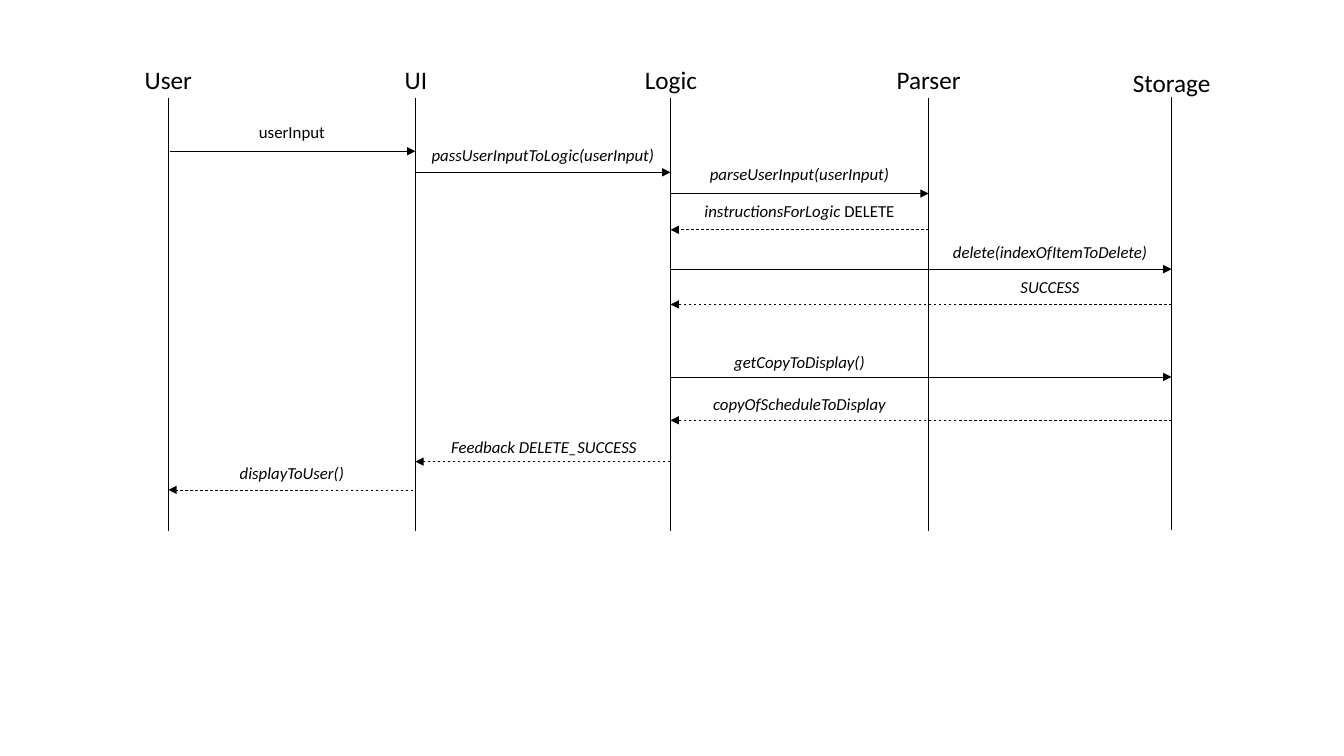
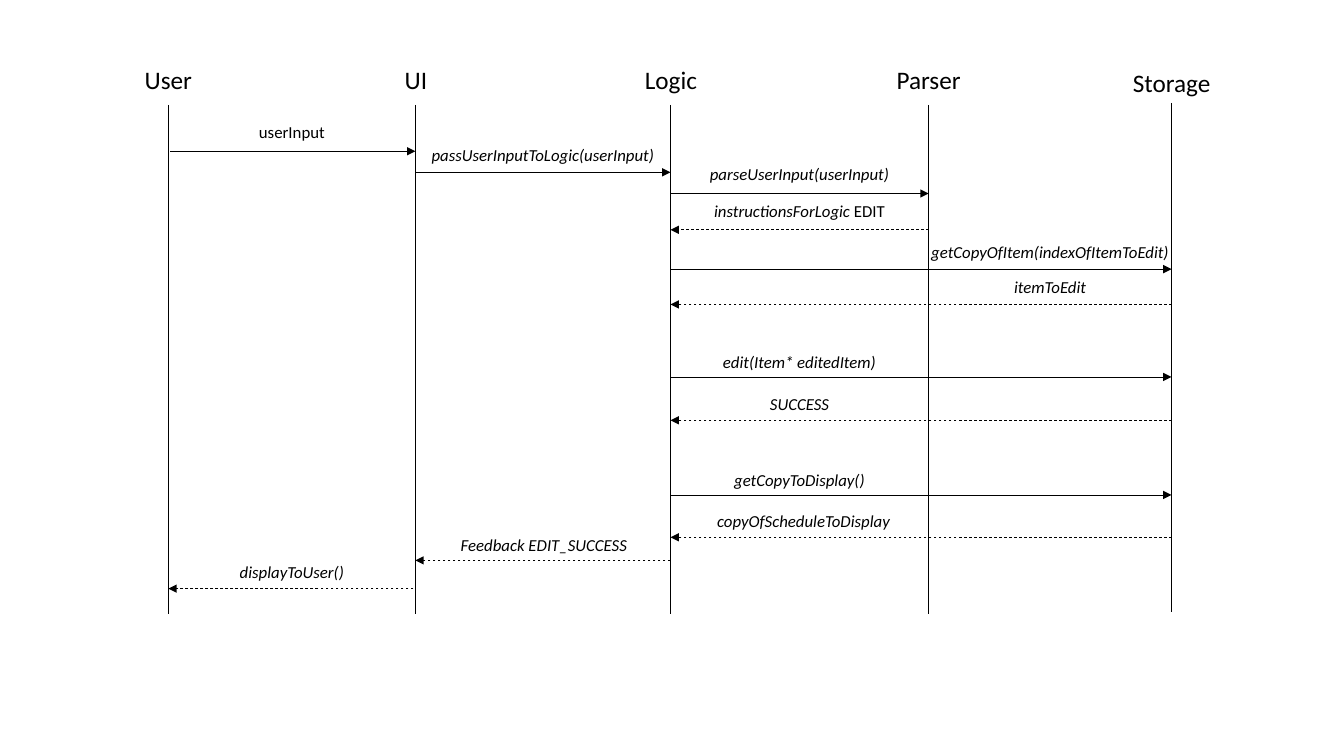
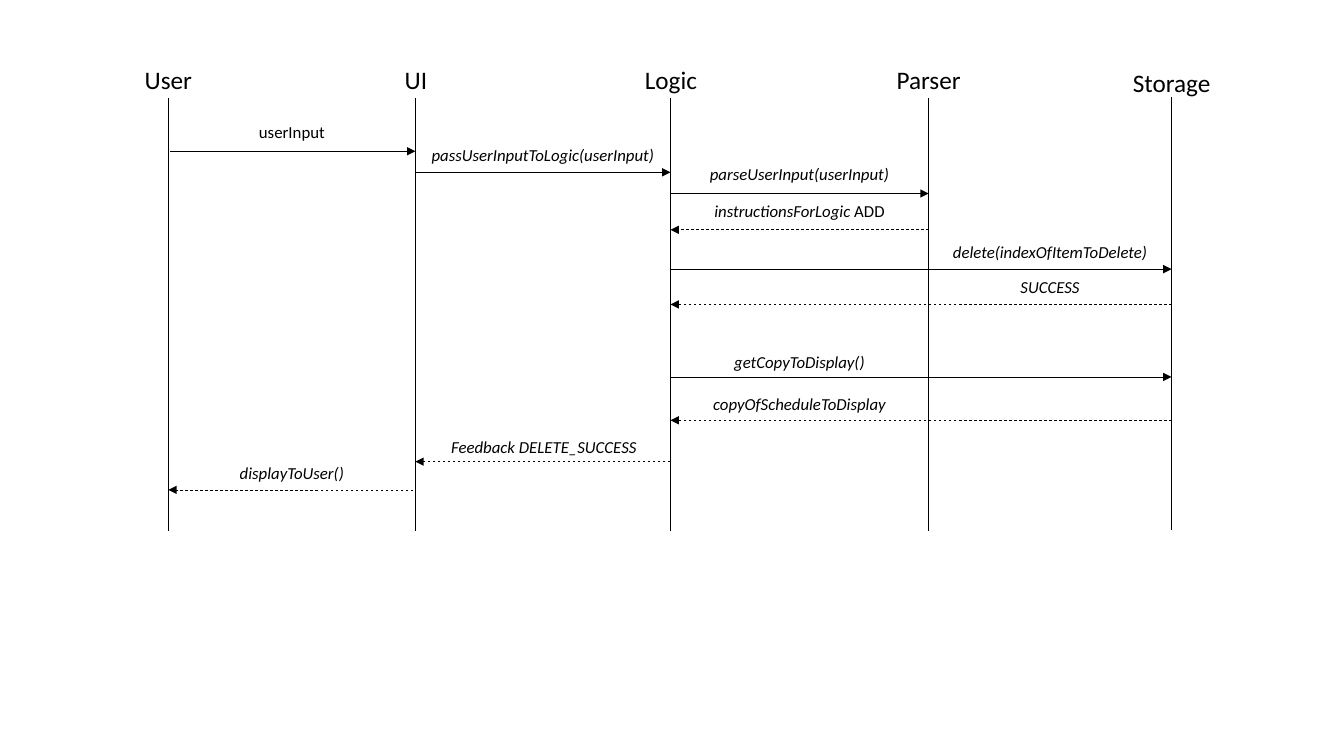
from dataclasses import dataclass

from lxml.etree import SubElement
from pptx import Presentation
from pptx.dml.color import RGBColor
from pptx.enum.dml import MSO_LINE
from pptx.enum.shapes import MSO_CONNECTOR
from pptx.enum.text import MSO_AUTO_SIZE, PP_ALIGN
from pptx.oxml.ns import qn
from pptx.util import Pt

PX = 9144


@dataclass(frozen=True)
class Theme:
    font: str = "Calibri"
    ink: RGBColor = RGBColor(0, 0, 0)
    title_size: int = 18
    label_size: int = 12
    line_width: float = 0.5


@dataclass(frozen=True)
class Message:
    sender: str
    receiver: str
    y: int
    label: str
    rise: int
    plain: str = ""
    loose: bool = False
    italic: bool = True
    over: tuple = ()
    nudge: int = 0
    widen: int = 0


THEME = Theme()
SLIDE_SIZE = (1333, 750)
TITLE_TOP = 59
STORAGE_DROP = 3

LIFELINES = {
    "User": (167, 68),
    "UI": (412, 43),
    "Logic": (665, 73),
    "Parser": (921, 84),
    "Storage": (1162, 98),
}

NEAR_LOGIC = ("Logic", "Parser")
NEAR_STORAGE = ("Parser", "Storage")


def opening(command):
    return [
        Message("User", "UI", 150, "userInput", 34, italic=False),
        Message("UI", "Logic", 171, "passUserInputToLogic(userInput)", 32),
        Message("Logic", "Parser", 192, "parseUserInput(userInput)", 34),
        Message("Parser", "Logic", 228, "instructionsForLogic ", 34, plain=command),
    ]


def storage_call(request, reply, widen=0):
    return [
        Message("Logic", "Storage", 267, request, 32, over=NEAR_STORAGE, widen=widen),
        Message("Storage", "Logic", 302, reply, 32, over=NEAR_STORAGE),
    ]


def loose_call(y, reply_y, request, reply, nudge=0):
    return [
        Message("Logic", "Storage", y, request, 40, loose=True, over=NEAR_LOGIC),
        Message("Storage", "Logic", reply_y, reply, 41, loose=True, over=NEAR_LOGIC, nudge=nudge),
    ]


def closing(y, outcome):
    return [
        Message("Logic", "UI", y, f"Feedback {outcome}", 40, loose=True, nudge=1),
        Message("UI", "User", y + 28, "displayToUser()", 42, loose=True),
    ]


def delete_flow(command):
    return (
        opening(command)
        + storage_call("delete(indexOfItemToDelete)", "SUCCESS")
        + loose_call(374, 417, "getCopyToDisplay()", "copyOfScheduleToDisplay")
        + closing(458, "DELETE_SUCCESS")
    )


EDIT_FLOW = (
    opening("EDIT")
    + storage_call("getCopyOfItem(indexOfItemToEdit)", "itemToEdit", widen=8)
    + loose_call(374, 417, "edit(Item* editedItem)", "SUCCESS")
    + loose_call(491, 533, "getCopyToDisplay()", "copyOfScheduleToDisplay", nudge=4)
    + closing(556, "EDIT_SUCCESS")
)

DIAGRAMS = [
    {"top": 97, "bottom": 527, "storage_lift": 1, "messages": delete_flow("DELETE")},
    {"top": 104, "bottom": 609, "storage_lift": 2, "messages": EDIT_FLOW},
    {"top": 97, "bottom": 527, "storage_lift": 1, "messages": delete_flow("ADD")},
]


def add_line(slide, start, end, arrow=False, dashed=False):
    line = slide.shapes.add_connector(MSO_CONNECTOR.STRAIGHT, *(v * PX for v in (*start, *end)))
    line.line.width = Pt(THEME.line_width)
    line.line.color.rgb = THEME.ink
    if dashed:
        line.line.dash_style = MSO_LINE.DASH
    properties = line._element.spPr
    if arrow:
        SubElement(properties.find(qn("a:ln")), qn("a:tailEnd"), type="triangle")
    SubElement(properties, qn("a:effectLst"))


def add_text(slide, box, runs, size, wrap=True, spacing=None):
    frame = slide.shapes.add_textbox(*(v * PX for v in box)).text_frame
    frame.word_wrap = wrap
    frame.auto_size = MSO_AUTO_SIZE.SHAPE_TO_FIT_TEXT
    paragraph = frame.paragraphs[0]
    paragraph.alignment = PP_ALIGN.CENTER
    if spacing:
        paragraph.line_spacing = spacing
    for text, italic in runs:
        run = paragraph.add_run()
        run.text = text
        run.font.name = THEME.font
        run.font.size = Pt(size)
        run.font.color.rgb = THEME.ink
        run.font.italic = italic


def add_lifeline(slide, name, diagram):
    x, width = LIFELINES[name]
    is_storage = name == "Storage"
    lift = diagram["storage_lift"] if is_storage else 0
    title_top = TITLE_TOP + (STORAGE_DROP if is_storage else 0)
    title_box = (x - width // 2, title_top, width, diagram["top"] - 64)
    add_text(slide, title_box, [(name, False)], THEME.title_size, wrap=False)
    add_line(slide, (x, diagram["top"] - lift), (x, diagram["bottom"] - lift))


def add_message(slide, message):
    start, end = (LIFELINES[name][0] for name in (message.sender, message.receiver))
    is_reply = end < start
    if "User" in (message.sender, message.receiver):
        start += -2 if is_reply else 2
    add_line(slide, (start, message.y), (end, message.y), arrow=True, dashed=is_reply)

    span = message.over or (message.sender, message.receiver)
    left, right = sorted(LIFELINES[name][0] for name in span)
    label_box = (
        left + message.nudge - message.widen,
        message.y - message.rise,
        right - left + 2 * message.widen,
        40 if message.loose else 30,
    )
    runs = [(message.label, message.italic)]
    if message.plain:
        runs.append((message.plain, False))
    add_text(slide, label_box, runs, THEME.label_size, spacing=1.5 if message.loose else None)


def main():
    deck = Presentation()
    deck.slide_width, deck.slide_height = (v * PX for v in SLIDE_SIZE)
    for diagram in DIAGRAMS:
        slide = deck.slides.add_slide(deck.slide_layouts[6])
        for name in LIFELINES:
            add_lifeline(slide, name, diagram)
        for message in diagram["messages"]:
            add_message(slide, message)
    deck.save("out.pptx")


if __name__ == "__main__":
    main()
